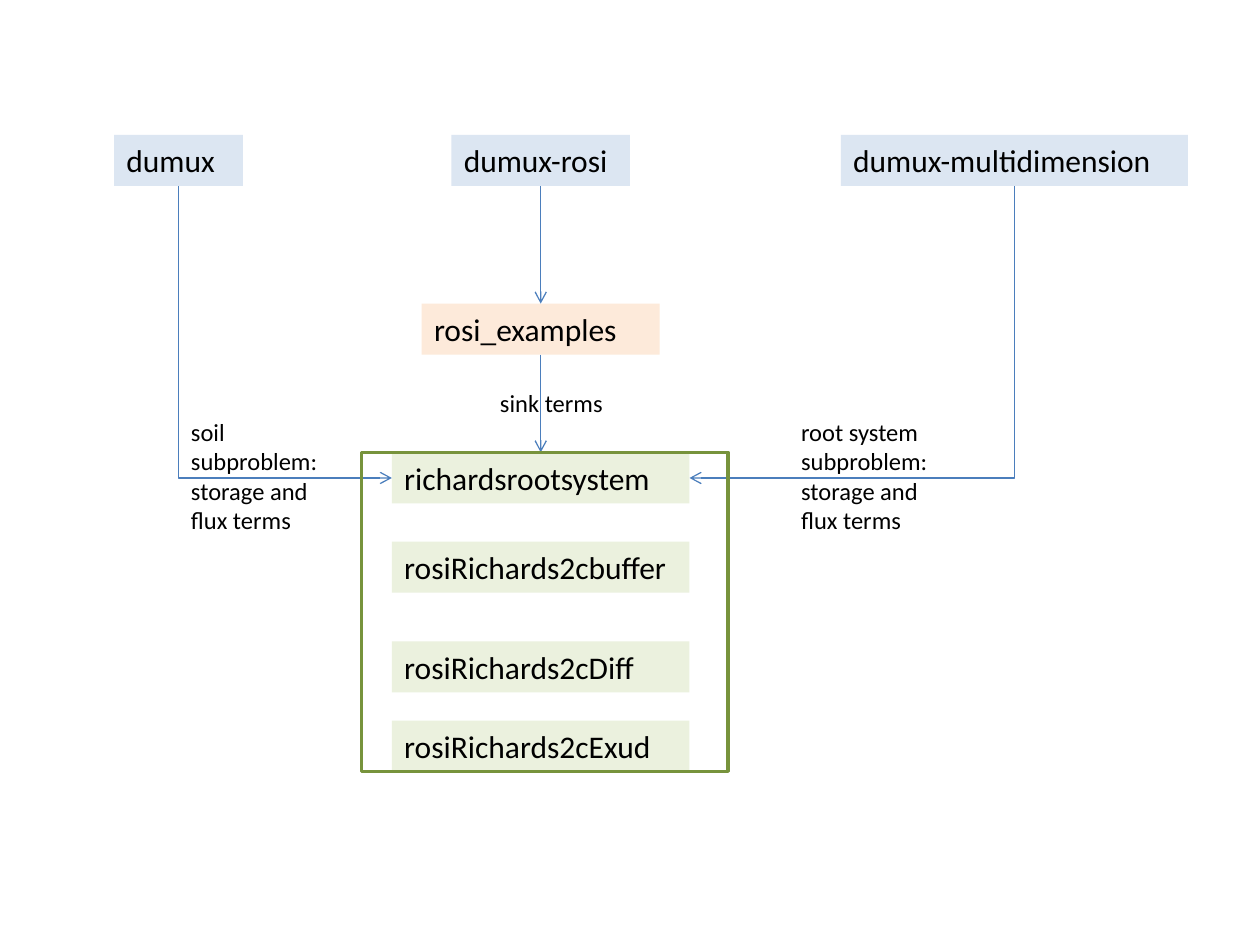
from lxml import etree
from pptx import Presentation
from pptx.dml.color import RGBColor
from pptx.enum import shapes, text
from pptx.oxml import ns
from pptx.util import Cm, Pt

COLORS = {
    "module": "DCE6F2",
    "folder": "FDEADA",
    "example": "EBF1DE",
    "frame": "77933C",
    "arrow": "4B7EBC",
    "text": "000000",
}
FONT = "Calibri"
BOX_HEIGHT = 1.03
CENTER = 10.9
BOTTOM, LEFT, RIGHT, TOP = 2, 1, 3, 0

BOXES = [
    ("dumux", "module", 3.6, 2.72, 2.6),
    ("dumux-multidimension", "module", 20.45, 2.72, 7),
    ("dumux-rosi", "module", CENTER, 2.72, 3.6),
    ("rosi_examples", "folder", CENTER, 6.12, 4.8),
    ("richardsrootsystem", "example", CENTER, 9.12, 6),
    ("rosiRichards2cbuffer", "example", CENTER, 10.92, 6),
    ("rosiRichards2cDiff", "example", CENTER, 12.93, 6),
    ("rosiRichards2cExud", "example", CENTER, 14.53, 6),
]
ARROWS = [
    ("dumux-rosi", "rosi_examples", TOP),
    ("dumux-multidimension", "richardsrootsystem", RIGHT),
    ("dumux", "richardsrootsystem", LEFT),
    ("rosi_examples", "richardsrootsystem", TOP),
]
FRAME = (7.29, 9.12, 7.39, 6.43)
LABELS = [
    (["soil subproblem: storage and", "flux terms"], (3.6, 8.28, 3.5, 2.64)),
    (["sink terms"], (9.83, 7.7, 3.7, 0.86)),
    (["root system subproblem: storage and", "flux terms"], (15.9, 8.28, 3.5, 2.64)),
]


def color(name):
    return RGBColor.from_string(COLORS[name])


def add_text(page, lines, area, size):
    box = page.shapes.add_textbox(*map(Cm, area))
    frame = box.text_frame
    frame.word_wrap = True
    frame.auto_size = text.MSO_AUTO_SIZE.SHAPE_TO_FIT_TEXT
    for index, line in enumerate(lines):
        para = frame.add_paragraph() if index else frame.paragraphs[0]
        span = para.add_run()
        span.text = line
        span.font.name = FONT
        span.font.size = Pt(size)
        span.font.color.rgb = color("text")
    return box


def bend_once(arrow, start, end, side):
    start_x, start_y = start.left + start.width // 2, start.top + start.height
    end_x = end.left + (end.width if side == RIGHT else 0)
    end_y = end.top + end.height // 2
    across, down = abs(end_x - start_x), end_y - start_y
    arrow.left = (start_x + end_x - down) // 2
    arrow.top = (start_y + end_y - across) // 2
    arrow.width, arrow.height = down, across
    properties = arrow._element.spPr
    properties.find(ns.qn("a:prstGeom")).set("prst", "bentConnector2")
    transform = properties.find(ns.qn("a:xfrm"))
    for flip in ("flipH", "flipV"):
        transform.attrib.pop(flip, None)
    transform.set("rot", str((90 if side == RIGHT else 270) * 60000))
    if side == LEFT:
        transform.set("flipH", "1")


def add_arrow(page, start, end, side):
    straight = side == TOP
    kind = shapes.MSO_CONNECTOR.STRAIGHT if straight else shapes.MSO_CONNECTOR.ELBOW
    arrow = page.shapes.add_connector(kind, 0, 0, 0, 0)
    arrow.begin_connect(start, BOTTOM)
    arrow.end_connect(end, side)
    if not straight:
        bend_once(arrow, start, end, side)
    arrow.line.color.rgb = color("arrow")
    arrow.line.width = Pt(0.75)
    etree.SubElement(arrow.line._get_or_add_ln(), ns.qn("a:tailEnd"), type="arrow")
    etree.SubElement(arrow._element.spPr, ns.qn("a:effectLst"))


def main():
    deck = Presentation()
    deck.slide_width, deck.slide_height = Cm(25.4), Cm(19.05)
    page = deck.slides.add_slide(deck.slide_layouts[6])

    boxes = {}
    for name, group, center, top, width in BOXES:
        area = (center - width / 2, top, width, BOX_HEIGHT)
        boxes[name] = add_text(page, [name], area, 18)
        boxes[name].fill.solid()
        boxes[name].fill.fore_color.rgb = color(group)

    for start, end, side in ARROWS:
        add_arrow(page, boxes[start], boxes[end], side)

    frame = page.shapes.add_shape(shapes.MSO_SHAPE.RECTANGLE, *map(Cm, FRAME))
    frame.shadow.inherit = False
    frame.fill.background()
    frame.line.color.rgb = color("frame")
    frame.line.width = Pt(2)

    for lines, area in LABELS:
        add_text(page, lines, area, 14)

    deck.save("out.pptx")


if __name__ == "__main__":
    main()
